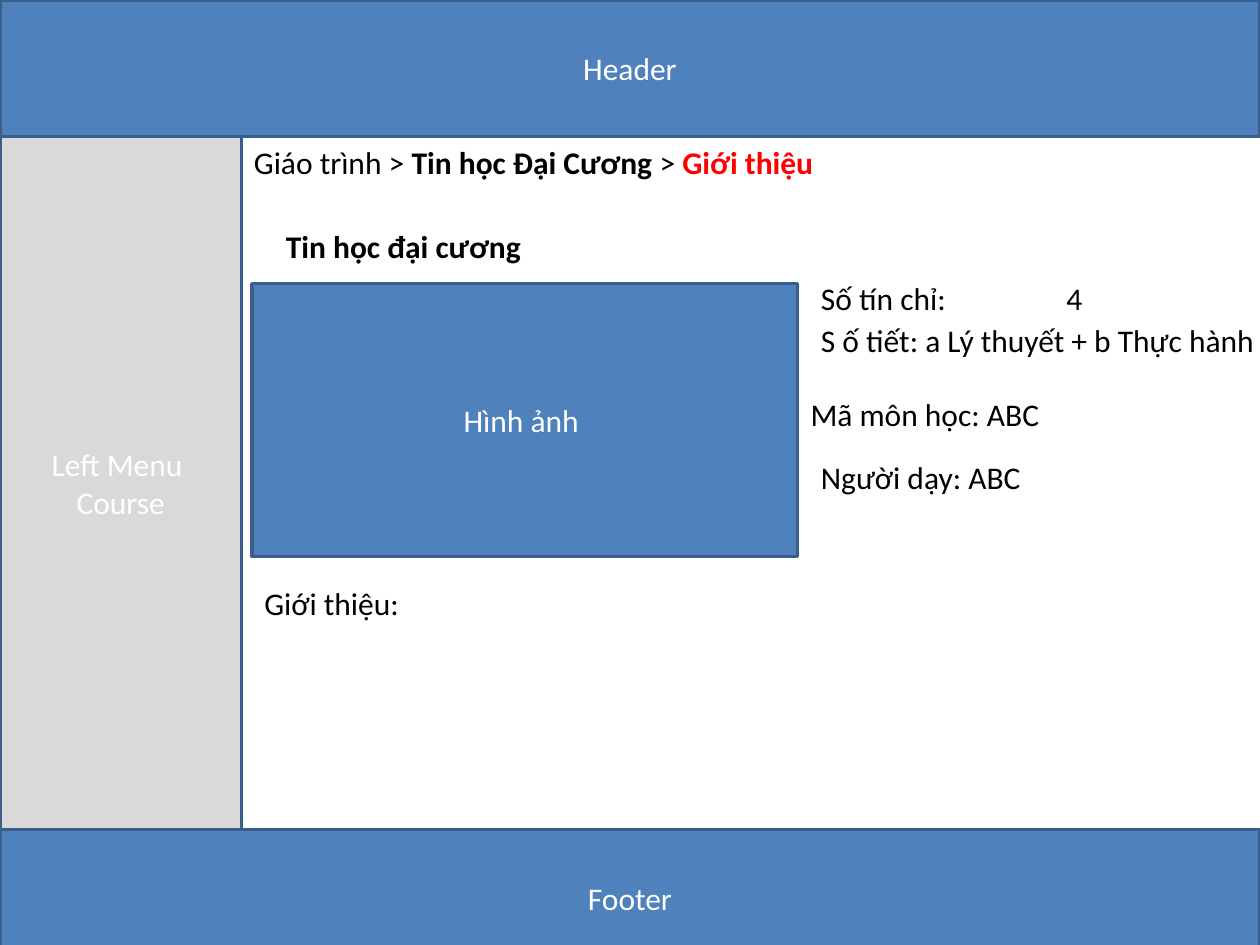
from pptx import Presentation
from pptx.dml.color import RGBColor
from pptx.enum import shapes, text
from pptx.oxml import ns
from pptx.util import Cm, Pt
from lxml import etree

BLUE = RGBColor(0x4F, 0x81, 0xBD)
DARK_BLUE = RGBColor(0x3A, 0x5F, 0x8C)
GREY = RGBColor(0xD9, 0xD9, 0xD9)
WHITE = RGBColor(0xFF, 0xFF, 0xFF)
BLACK = RGBColor(0, 0, 0)
RED = RGBColor(0xFF, 0, 0)

PAGE_WIDTH, PAGE_HEIGHT = 25.4, 19.05
BAND_HEIGHT = 2.75
MENU_WIDTH = 4.87
FOOTER_TOP = 16.72
LINE_HEIGHT = 1.02


def style_paragraph(para, color, bold=False):
    para.font.name = "Calibri"
    para.font.size = Pt(18)
    para.font.color.rgb = color
    para.font.bold = bold


def add_panel(page, box, label, fill=BLUE):
    panel = page.shapes.add_shape(
        shapes.MSO_SHAPE.RECTANGLE, *[Cm(length) for length in box])
    panel.shadow.inherit = False
    panel.fill.solid()
    panel.fill.fore_color.rgb = fill
    panel.line.color.rgb = DARK_BLUE
    panel.line.width = Pt(2)
    frame = panel.text_frame
    frame.text = label
    frame.vertical_anchor = text.MSO_ANCHOR.MIDDLE
    for para in frame.paragraphs:
        para.alignment = text.PP_ALIGN.CENTER
        style_paragraph(para, WHITE)


def add_line_of_text(page, left, top, width, wording="", wrap=False):
    label = page.shapes.add_textbox(Cm(left), Cm(top), Cm(width), Cm(LINE_HEIGHT))
    label.text_frame.word_wrap = wrap
    label.text_frame.auto_size = text.MSO_AUTO_SIZE.SHAPE_TO_FIT_TEXT
    para = label.text_frame.paragraphs[0]
    para.text = wording
    style_paragraph(para, BLACK)
    return para


def add_tab_stop(para, position):
    properties = para._p.get_or_add_pPr()
    tabs = etree.Element(ns.qn("a:tabLst"))
    etree.SubElement(tabs, ns.qn("a:tab"), pos=str(Cm(position)), algn="l")
    properties.insert(0, tabs)


def add_breadcrumb(page, left, top, width):
    para = add_line_of_text(page, left, top, width, wrap=True)
    for wording, color, bold in [
        ("Giáo trình > ", BLACK, False),
        ("Tin học Đại Cương ", BLACK, True),
        ("> ", BLACK, False),
        ("Giới thiệu", RED, True),
    ]:
        span = para.add_run()
        span.text = wording
        span.font.color.rgb = color
        span.font.bold = bold


def add_title(page, left, top, width):
    title = page.shapes.title
    title.left, title.top = Cm(left), Cm(top)
    title.width, title.height = Cm(width), Cm(LINE_HEIGHT)
    frame = title.text_frame
    frame.text = "Tin học đại cương"
    frame.word_wrap = True
    frame.auto_size = text.MSO_AUTO_SIZE.NONE
    frame.vertical_anchor = text.MSO_ANCHOR.TOP
    para = frame.paragraphs[0]
    para.alignment = text.PP_ALIGN.LEFT
    style_paragraph(para, BLACK, bold=True)


def add_course_facts(page, left, top):
    credits = add_line_of_text(page, left, top, 6, "Số tín chỉ:\t4")
    add_tab_stop(credits, 4.95)
    for indent, drop, width, wording in [
        (0, 0.85, 9.73, "S ố tiết: a Lý thuyết + b Thực hành"),
        (-0.21, 2.33, 5.18, "Mã môn học: ABC"),
        (0, 3.6, 4.57, "Người dạy: ABC"),
    ]:
        add_line_of_text(page, left + indent, top + drop, width, wording)


def add_content(page, left, top, width):
    add_breadcrumb(page, left, top, width)
    add_title(page, left + 0.64, top + 1.7, 5.28)
    add_panel(page, (left + 0.21, top + 2.97, 11, 5.5), "Hình ảnh ")
    add_course_facts(page, left + 11.43, top + 2.75)
    add_line_of_text(page, left + 0.21, top + 8.9, 3.25, "Giới thiệu:")


def add_course_page(deck):
    page = deck.slides.add_slide(deck.slide_layouts[5])
    add_panel(page, (0, 0, PAGE_WIDTH, BAND_HEIGHT), "Header")
    add_panel(page, (0, BAND_HEIGHT, MENU_WIDTH, FOOTER_TOP - BAND_HEIGHT),
              "Left Menu \nCourse", GREY)
    add_panel(page, (0, FOOTER_TOP, PAGE_WIDTH, BAND_HEIGHT), "Footer")
    add_content(page, MENU_WIDTH, BAND_HEIGHT, PAGE_WIDTH - MENU_WIDTH)


deck = Presentation()
deck.slide_width, deck.slide_height = Cm(PAGE_WIDTH), Cm(PAGE_HEIGHT)
add_course_page(deck)
deck.save("out.pptx")
